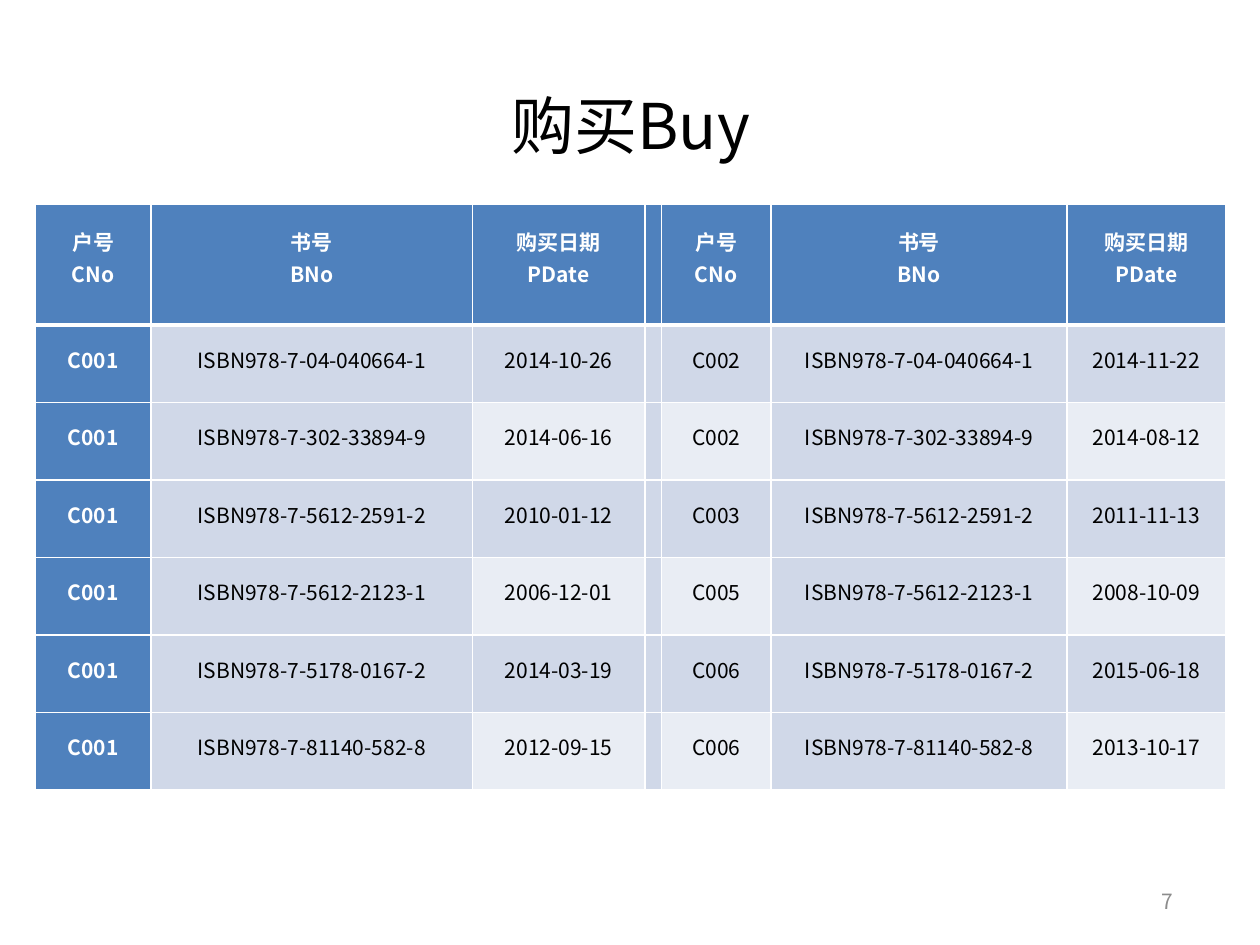
from lxml import etree
from pptx import Presentation
from pptx.dml.color import RGBColor
from pptx.enum.text import MSO_ANCHOR, PP_ALIGN
from pptx.oxml.ns import qn
from pptx.util import Inches, Pt

FONT = "Noto Sans CJK SC"
BLUE, BAND, PALE = "4F81BD", "D0D8E8", "E9EDF4"
BLACK, WHITE, GRAY = "000000", "FFFFFF", "8C8C8C"

COL_WIDTHS = [0.92, 2.55, 1.37, 0.13, 0.87, 2.35, 1.26]
HEADER_HEIGHT = 0.96
GAP_COL = 3
BOOK_COLS = (1, 5)

HEADINGS = [("户号", "CNo"), ("书号", "BNo"), ("购买日期", "PDate")]
# Book, date bought by C001, second customer, date bought by that customer
PURCHASES = [
    ("ISBN978-7-04-040664-1", "2014-10-26", "C002", "2014-11-22"),
    ("ISBN978-7-302-33894-9", "2014-06-16", "C002", "2014-08-12"),
    ("ISBN978-7-5612-2591-2", "2010-01-12", "C003", "2011-11-13"),
    ("ISBN978-7-5612-2123-1", "2006-12-01", "C005", "2008-10-09"),
    ("ISBN978-7-5178-0167-2", "2014-03-19", "C006", "2015-06-18"),
    ("ISBN978-7-81140-582-8", "2012-09-15", "C006", "2013-10-17"),
]


def rgb(color):
    return RGBColor.from_string(color)


def format_paragraph(p, size, color, align, bold=False):
    p.alignment = align
    font = p.font
    font.size, font.bold, font.name = Pt(size), bold, FONT
    font.color.rgb = rgb(color)
    latin = p._p.pPr.find(qn("a:defRPr")).find(qn("a:latin"))
    ea = etree.Element(qn("a:ea"), typeface=FONT)
    latin.addnext(ea)


def set_borders(cell, top, bottom):
    """Draw white cell borders; top and bottom are widths in points."""
    tcPr = cell._tc.get_or_add_tcPr()
    sides = [("lnL", 1), ("lnR", 1), ("lnT", top), ("lnB", bottom)]
    for i, (side, width) in enumerate(sides):
        ln = etree.Element(qn("a:" + side), w=str(Pt(width)))
        fill = etree.SubElement(ln, qn("a:solidFill"))
        etree.SubElement(fill, qn("a:srgbClr"), val=WHITE)
        tcPr.insert(i, ln)


def add_title(s, left, top, width, height):
    title = s.shapes.title
    title.left, title.top = Inches(left), Inches(top)
    title.width, title.height = Inches(width), Inches(height)
    tf = title.text_frame
    tf.text = "购买Buy"
    tf.vertical_anchor = MSO_ANCHOR.MIDDLE
    format_paragraph(tf.paragraphs[0], 36, BLACK, PP_ALIGN.CENTER)


def cell_fill(row, col):
    if row == 0 or col == 0:
        return BLUE
    if row % 2 or col == GAP_COL or col in BOOK_COLS:
        return BAND
    return PALE


def fill_cell(cell, row, col, lines):
    cell.fill.solid()
    cell.fill.fore_color.rgb = rgb(cell_fill(row, col))
    set_borders(cell, 3 if row == 1 else 1, 3 if row == 0 else 1)
    cell.vertical_anchor = MSO_ANCHOR.MIDDLE
    cell.margin_left = cell.margin_right = Inches(0.02)
    cell.margin_top = cell.margin_bottom = 0
    strong = row == 0 or col == 0
    tf = cell.text_frame
    for i, line in enumerate(lines):
        p = tf.add_paragraph() if i else tf.paragraphs[0]
        p.text = line
        p.line_spacing = Pt(9 if row == 0 else 12)
        if i:
            p.space_before = Pt(9)
        format_paragraph(p, 12, WHITE if strong else BLACK,
                         PP_ALIGN.CENTER, strong)


def add_purchase_table(s, left, top, width, height):
    rows = [HEADINGS + [()] + HEADINGS]
    for book, date, customer, other_date in PURCHASES:
        rows.append([("C001",), (book,), (date,), (),
                     (customer,), (book,), (other_date,)])
    table = s.shapes.add_table(len(rows), len(COL_WIDTHS), Inches(left),
                               Inches(top), Inches(width), Inches(height)).table
    for column, share in zip(table.columns, COL_WIDTHS):
        column.width = Inches(width * share / sum(COL_WIDTHS))
    body_height = (height - HEADER_HEIGHT) / len(PURCHASES)
    for r, row in enumerate(rows):
        table.rows[r].height = Inches(body_height if r else HEADER_HEIGHT)
        for c, lines in enumerate(row):
            fill_cell(table.cell(r, c), r, c, lines)


def add_page_number(s, left, top, width, height):
    box = s.shapes.add_textbox(Inches(left), Inches(top),
                               Inches(width), Inches(height))
    tf = box.text_frame
    tf.word_wrap = True
    tf.vertical_anchor = MSO_ANCHOR.MIDDLE
    tf.text = "7"
    format_paragraph(tf.paragraphs[0], 12, GRAY, PP_ALIGN.RIGHT)


def main():
    prs = Presentation()
    prs.slide_width, prs.slide_height = Inches(10), Inches(7.5)
    s = prs.slides.add_slide(prs.slide_layouts[5])
    add_title(s, 0.51, 0.6, 8.99, 0.77)
    add_purchase_table(s, 0.28, 1.62, 9.45, 4.65)
    add_page_number(s, 7.17, 6.95, 2.24, 0.4)
    prs.save("out.pptx")


if __name__ == "__main__":
    main()
